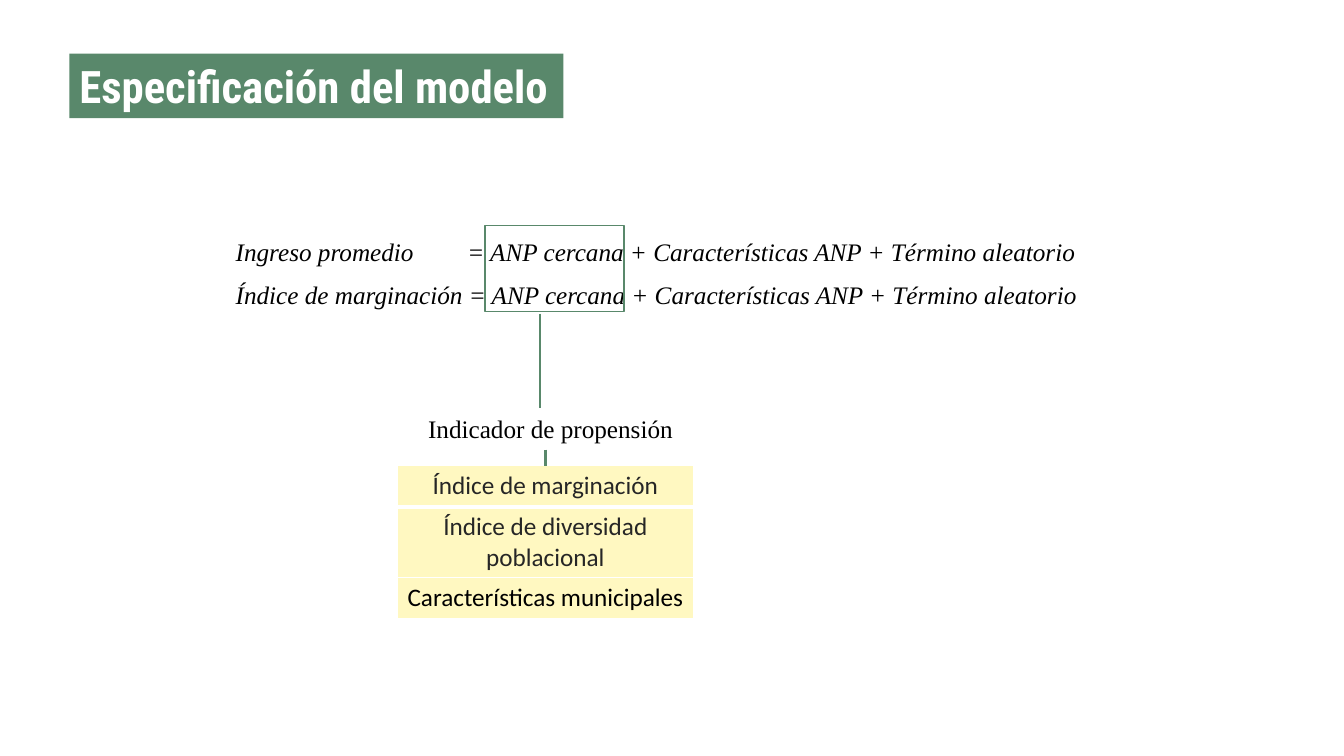
from dataclasses import dataclass

from lxml import etree
from pptx import Presentation
from pptx.dml.color import RGBColor
from pptx.enum.shapes import MSO_CONNECTOR, MSO_SHAPE
from pptx.enum.text import MSO_ANCHOR, PP_ALIGN
from pptx.oxml.ns import qn
from pptx.util import Cm, Pt

RECTANGLE = MSO_SHAPE.RECTANGLE
STRAIGHT = MSO_CONNECTOR.STRAIGHT
LEFT, CENTER = PP_ALIGN.LEFT, PP_ALIGN.CENTER
TOP = MSO_ANCHOR.TOP


@dataclass(frozen=True)
class Theme:
    green: str = "59886B"
    yellow: str = "FFF8C1"
    white: str = "FFFFFF"
    black: str = "000000"
    gray: str = "262626"
    title_font: str = "Roboto Condensed"
    model_font: str = "Times New Roman"
    table_font: str = "Calibri"
    title_size: int = 32
    body_size: int = 18


@dataclass(frozen=True)
class Box:
    left: float
    top: float
    width: float
    height: float

    def lengths(self) -> tuple:
        return Cm(self.left), Cm(self.top), Cm(self.width), Cm(self.height)


@dataclass(frozen=True)
class Link:
    x: float
    top: float
    bottom: float


@dataclass(frozen=True)
class Indicator:
    label: str
    height: float
    color: str
    bottom_border: int = 1


THEME = Theme()
TITLE = Box(1.75, 1.35, 12.45, 1.63)
EQUATIONS = Box(3.07, 5.77, 26.92, 2.16)
EQUATION_INSET = 2.87
EQUALS_TAB = 5.84
NEARBY_FRAME = Box(12.22, 5.69, 3.51, 2.16)
PROPENSITY = Box(10.54, 10.29, 6.86, 1.07)
TABLE = Box(10.01, 11.74, 7.47, 3.83)
LINKS = (Link(13.61, 7.9, 10.29), Link(13.74, 11.33, 11.74))
MODEL_LINES = (
    "Ingreso promedio\t= ANP cercana + Características ANP + Término aleatorio",
    "Índice de marginación = ANP cercana + Características ANP + Término aleatorio",
)
INDICATORS = (
    Indicator("Índice de marginación", 1.03, THEME.gray, 3),
    Indicator("Índice de diversidad poblacional", 1.77, THEME.gray),
    Indicator("Características municipales", 1.03, THEME.black),
)


def rgb(color: str) -> RGBColor:
    """Return a colour object for a hexadecimal code."""
    return RGBColor.from_string(color)


def format_text(paragraph, font_name: str, color: str, size: int = THEME.body_size,
                align=LEFT, bold: bool = False, italic: bool = False) -> None:
    """Align a paragraph and style its runs."""
    paragraph.alignment = align
    for run in paragraph.runs:
        font = run.font
        font.name, font.size = font_name, Pt(size)
        font.bold, font.italic = bold, italic
        font.color.rgb = rgb(color)


def add_rectangle(slide, box: Box):
    """Add a rectangle without shadow."""
    rectangle = slide.shapes.add_shape(RECTANGLE, *box.lengths())
    rectangle.shadow.inherit = False
    return rectangle


def add_title(slide) -> None:
    """Add the green title band."""
    band = add_rectangle(slide, TITLE)
    band.fill.solid()
    band.fill.fore_color.rgb = rgb(THEME.green)
    band.line.fill.background()
    frame = band.text_frame
    frame.word_wrap, frame.vertical_anchor = True, TOP
    frame.text = "Especificación del modelo"
    format_text(frame.paragraphs[0], THEME.title_font, THEME.white,
                THEME.title_size, bold=True)


def add_equations(slide) -> None:
    """Add both model equations with their equals signs lined up."""
    frame = slide.shapes.add_textbox(*EQUATIONS.lengths()).text_frame
    frame.word_wrap = True
    frame.margin_left = Cm(EQUATION_INSET)
    frame.text = "\n".join(MODEL_LINES)
    for paragraph in frame.paragraphs:
        paragraph.line_spacing = 1.07
        paragraph.space_after = Pt(8)
        tabs = etree.SubElement(paragraph._p.get_or_add_pPr(), qn("a:tabLst"))
        etree.SubElement(tabs, qn("a:tab"), pos=str(Cm(EQUALS_TAB)), algn="l")
        format_text(paragraph, THEME.model_font, THEME.black, italic=True)


def add_nearby_frame(slide) -> None:
    """Outline the nearby protected area term."""
    outline = add_rectangle(slide, NEARBY_FRAME)
    outline.fill.background()
    outline.line.color.rgb = rgb(THEME.green)
    outline.line.width = Pt(1)


def add_propensity(slide) -> None:
    """Add the propensity indicator label."""
    frame = slide.shapes.add_textbox(*PROPENSITY.lengths()).text_frame
    frame.word_wrap = True
    frame.text = "Indicador de propensión"
    format_text(frame.paragraphs[0], THEME.model_font, THEME.black)


def add_link(slide, link: Link) -> None:
    """Draw a vertical green line."""
    line = slide.shapes.add_connector(
        STRAIGHT, Cm(link.x), Cm(link.top), Cm(link.x), Cm(link.bottom))
    line.line.color.rgb = rgb(THEME.green)
    line.line.width = Pt(2)
    etree.SubElement(line._element.spPr, qn("a:effectLst"))


def set_border(cell, side: str, width: int) -> None:
    """Give one side of a cell a white border."""
    border = etree.Element(qn(f"a:{side}"), w=str(Pt(width)))
    fill = etree.SubElement(border, qn("a:solidFill"))
    etree.SubElement(fill, qn("a:srgbClr"), val=THEME.white)
    properties = cell._tc.get_or_add_tcPr()
    properties.insert(len(properties) - 1, border)


def add_indicators(slide) -> None:
    """Add the table of indicators."""
    table = slide.shapes.add_table(len(INDICATORS), 1, *TABLE.lengths()).table
    table.first_row = table.horz_banding = False
    top_border = 1
    for index, indicator in enumerate(INDICATORS):
        table.rows[index].height = Cm(indicator.height)
        cell = table.cell(index, 0)
        cell.fill.solid()
        cell.fill.fore_color.rgb = rgb(THEME.yellow)
        borders = {"lnL": 1, "lnR": 1, "lnT": top_border, "lnB": indicator.bottom_border}
        for side, width in borders.items():
            set_border(cell, side, width)
        top_border = indicator.bottom_border
        cell.text_frame.text = indicator.label
        format_text(cell.text_frame.paragraphs[0], THEME.table_font,
                    indicator.color, align=CENTER)


def main() -> None:
    """Build the model specification slide."""
    presentation = Presentation()
    presentation.slide_width, presentation.slide_height = Cm(33.87), Cm(19.05)
    slide = presentation.slides.add_slide(presentation.slide_layouts[6])
    add_title(slide)
    add_equations(slide)
    add_nearby_frame(slide)
    add_propensity(slide)
    add_indicators(slide)
    for link in LINKS:
        add_link(slide, link)
    presentation.save("out.pptx")


if __name__ == "__main__":
    main()
